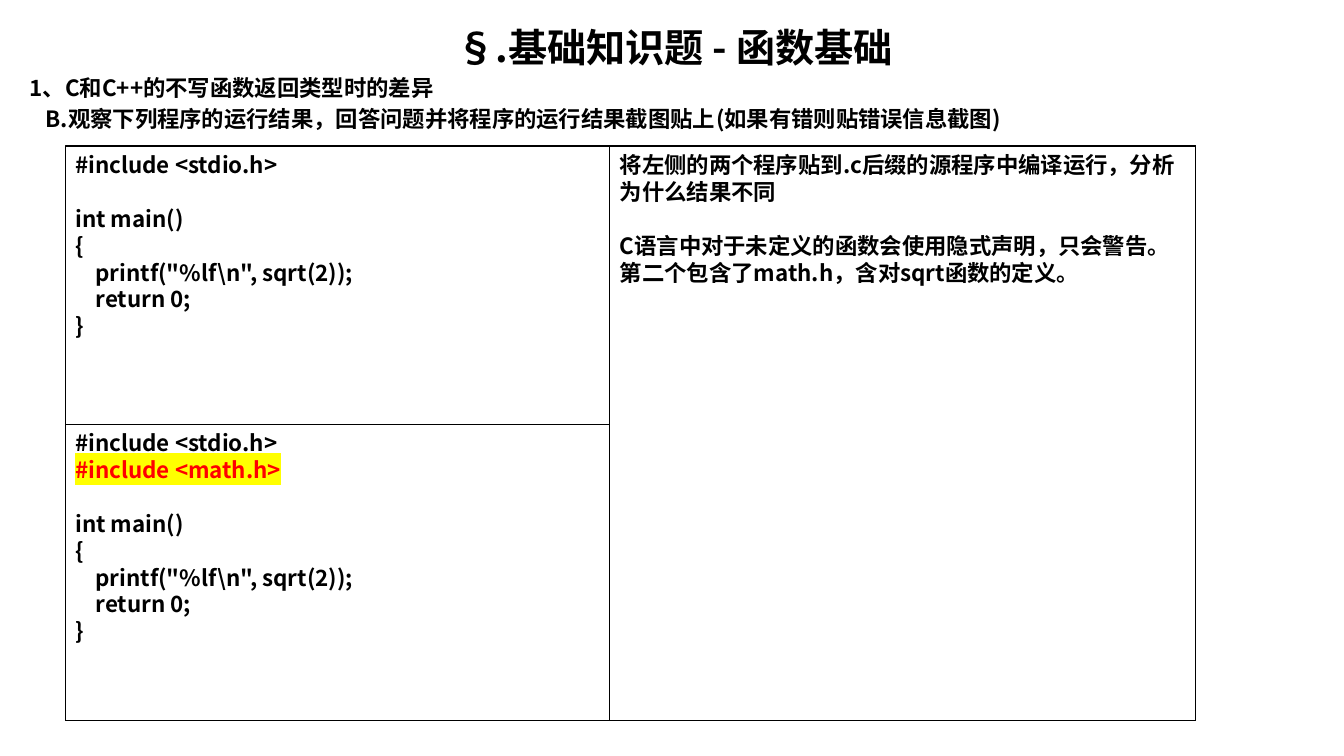
from lxml.etree import SubElement
from pptx import Presentation
from pptx.dml.color import RGBColor
from pptx.enum.shapes import MSO_SHAPE as Shape
from pptx.enum.text import MSO_ANCHOR as Anchor, MSO_AUTO_SIZE as AutoSize, PP_ALIGN as Align
from pptx.oxml.ns import qn
from pptx.text.text import Font
from pptx.util import Cm, Pt

FONT = "Noto Sans CJK SC"
BLACK, RED, YELLOW = "000000", "FF0000", "FFFF00"
MATH_INCLUDE = "#include <math.h>"
MAIN = ["", "int main()", "{", '    printf("%lf\\n", sqrt(2));', "    return 0;", "}"]
ANSWER = [
    "将左侧的两个程序贴到.c后缀的源程序中编译运行，分析为什么结果不同",
    "C语言中对于未定义的函数会使用隐式声明，只会警告。第二个包含了math.h，含对sqrt函数的定义。",
]
QUESTION = [
    "1、C和C++的不写函数返回类型时的差异",
    "B.观察下列程序的运行结果，回答问题并将程序的运行结果截图贴上(如果有错则贴错误信息截图)",
]


def color(value):
    """Turn a hex string into a colour."""
    return RGBColor.from_string(value)


class ExerciseSlide:
    """Hold the text style and the current slide."""

    def __init__(self, presentation):
        """Add a slide with a title and a body."""
        self.slide = presentation.slides.add_slide(presentation.slide_layouts[1])
        self.style = {"name": FONT, "bold": True}

    def style_font(self, font, size, text_color=BLACK, highlight=None):
        """Apply the style to one font."""
        for name, value in {**self.style, "size": Pt(size)}.items():
            setattr(font, name, value)
        font.color.rgb = color(text_color)
        properties = font._element
        SubElement(properties, qn("a:ea"), typeface=FONT)
        if highlight:
            mark = SubElement(properties, qn("a:highlight"))
            SubElement(mark, qn("a:srgbClr"), val=highlight)
            properties.find(qn("a:solidFill")).addnext(mark)

    def fill_text(self, shape, lines, size=16, align=Align.LEFT, gap=0, marked=None):
        """Set one paragraph a line, with a gap between them."""
        frame = shape.text_frame
        settings = {
            "word_wrap": True, "auto_size": AutoSize.NONE, "vertical_anchor": Anchor.TOP,
            "margin_left": Cm(0.25), "margin_right": Cm(0.25),
            "margin_top": Cm(0.13), "margin_bottom": Cm(0.13),
        }
        for name, value in settings.items():
            setattr(frame, name, value)
        for index, line in enumerate(lines):
            paragraph = frame.paragraphs[0] if index == 0 else frame.add_paragraph()
            paragraph.alignment = align
            paragraph.space_before = Pt(gap if index else 0)
            if line:
                run = paragraph.add_run()
                run.text = line
                self.style_font(run.font, size, *((RED, YELLOW) if line == marked else ()))
            else:
                self.style_font(Font(paragraph._p.get_or_add_endParaRPr()), size)

    def place(self, shape, left, top, width, height):
        """Move and size a shape in centimetres."""
        for name, value in dict(left=left, top=top, width=width, height=height).items():
            setattr(shape, name, Cm(value))

    def title(self, text, *place):
        """Fill the title placeholder."""
        shape = self.slide.shapes.title
        self.place(shape, *place)
        self.fill_text(shape, [text], 28, Align.CENTER)

    def question(self, lines, *place):
        """Fill the body placeholder, with the second line indented."""
        shape = self.slide.placeholders[1]
        self.place(shape, *place)
        self.fill_text(shape, lines, gap=3.2)
        for paragraph, margin in zip(shape.text_frame.paragraphs, (0, 0.4)):
            properties = paragraph._p.get_or_add_pPr()
            properties.set("marL", str(Cm(margin)))
            properties.set("indent", "0")
            SubElement(properties, qn("a:buNone"))

    def box(self, lines, *place, **options):
        """Add an outlined box of text."""
        shape = self.slide.shapes.add_shape(Shape.RECTANGLE, *map(Cm, place))
        shape.shadow.inherit = False
        shape.fill.background()
        shape.line.color.rgb = color(BLACK)
        shape.line.width = Pt(0.75)
        self.fill_text(shape, lines, **options)


def main():
    """Build and save the exercise slide."""
    presentation = Presentation()
    presentation.slide_width, presentation.slide_height = Cm(33.87), Cm(19.05)
    exercise = ExerciseSlide(presentation)
    exercise.title("§.基础知识题 - 函数基础", 0.5, 0.45, 33, 1.45)
    exercise.question(QUESTION, 0.5, 1.74, 33, 1.9)

    left, top, middle, split = 1.65, 3.68, 15.37, 10.69
    right, bottom = 30.12, 18.16
    include = "#include <stdio.h>"
    exercise.box([include, *MAIN], left, top, right - left, bottom - top)
    exercise.box(ANSWER, middle, top, right - middle, bottom - top, gap=19.2)
    exercise.box([include, MATH_INCLUDE, *MAIN], left, split, middle - left, bottom - split,
                 marked=MATH_INCLUDE)
    presentation.save("out.pptx")


if __name__ == "__main__":
    main()
